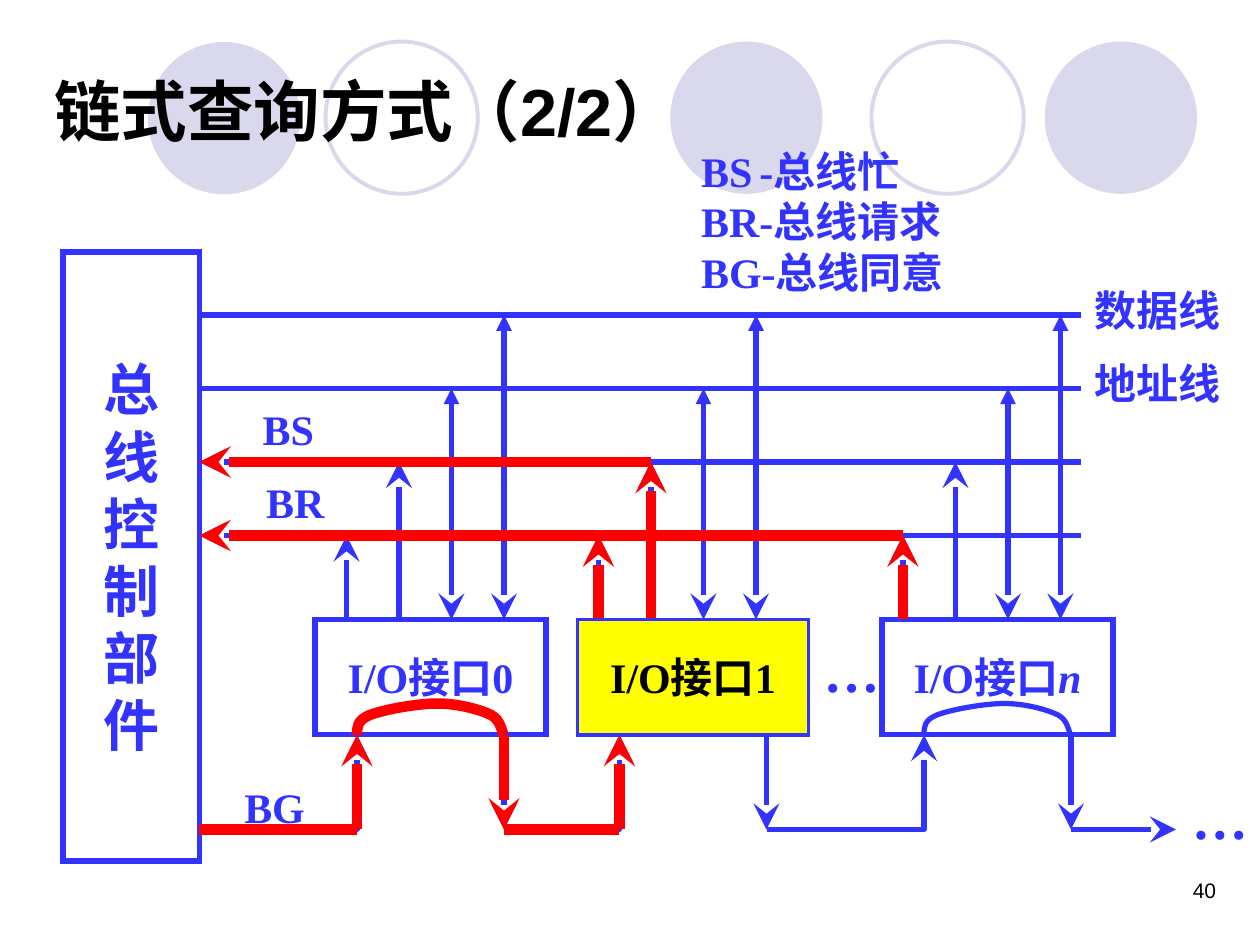
import pptx
import pptx.util
import pptx.dml.color
import pptx.enum.shapes
import pptx.enum.text
import pptx.oxml
from pptx.oxml.ns import qn

Pt = pptx.util.Pt
SHAPE = pptx.enum.shapes.MSO_SHAPE
ALIGN = pptx.enum.text.PP_ALIGN
ANCHOR = pptx.enum.text.MSO_ANCHOR
FIT = pptx.enum.text.MSO_AUTO_SIZE

COLORS = {"blue": "3333FF", "red": "FF0000", "yellow": "FFFF00",
          "black": "000000", "lilac": "D9D8EC"}
SERIF, SANS = "Times New Roman", "Arial"

CIRCLES = [(383, 23.75, True), (597, 23.75, True), (84.5, 24, True),
           (498, 23.75, False), (186, 23.75, False)]
CIRCLE_SIZE = 87

CONTROL = "总线控制部件"
TITLE = "链式查询方式（2/2）"
LEGEND = [[("BS", {}), (" ", {"size": 16}), ("-总线忙", {})],
          [("BR-总线请求", {})],
          [("BG-总线同意", {})]]
LABELS = [
    ("BS", 143, 227, 44, 36, 24), ("BR", 145, 269, 47.5, 36, 24),
    ("BG", 132.5, 443, 49, 36, 24),
    ("数据线", 618.5, 159, 86.5, 36, 24), ("地址线", 618.5, 201, 86.5, 36, 24),
    ("…", 463.5, 360, 46, 46, 32), ("…", 674, 444, 46, 46, 32),
]

BUS_LEFT, BUS_RIGHT = 114, 618
DATA, ADDRESS, BS, BR = [180 + 42 * i for i in range(4)]
BOX_TOP, BOX_W, BOX_H = 354, 132, 66
BOX_BOTTOM, LANE = BOX_TOP + BOX_H, 474
STUB_STEP, ARC_W = 30, 84
INTERFACES = [
    {"box": 180, "stub": 198, "grant": 204, "text": [("I/O接口0", {})]},
    {"box": 330, "stub": 342, "grant": 354, "text": [("I/O接口1", {})]},
    {"box": 504, "stub": 516, "grant": 528,
     "text": [("I/O接口", {}), ("n", {"italic": True})]},
]
ARC = [(0, 0), (0, -4.5), (0, -8.5), (7.5, -11.5), (15.5, -14.5), (34, -18),
       (46, -18), (57.5, -18), (70.5, -14.5), (76.5, -11.5), (82.5, -8.5),
       (82.5, -1.5), (84, 0)]

prs = pptx.Presentation()
prs.slide_width, prs.slide_height = Pt(720), Pt(540)
s = prs.slides.add_slide(prs.slide_layouts[6])


def rgb(name):
    return pptx.dml.color.RGBColor.from_string(COLORS[name])


def element(tag, attributes=""):
    return pptx.oxml.parse_xml(
        f'<a:{tag} xmlns:a="http://schemas.openxmlformats.org/drawingml/2006/main" {attributes}/>')


def style(sp, fill=None, line=None, width=3.0):
    sp.shadow.inherit = False
    if fill:
        sp.fill.solid()
        sp.fill.fore_color.rgb = rgb(fill)
    else:
        sp.fill.background()
    if line:
        sp.line.color.rgb = rgb(line)
        sp.line.width = Pt(width)
    else:
        sp.line.fill.background()


def arrowheads(sp, head, tail, color):
    ln = sp.line._get_or_add_ln()
    for tag, kind in (("headEnd", head), ("tailEnd", tail)):
        if kind:
            size = "lg" if kind == "stealth" and color == "blue" else "med"
            ln.append(element(tag, f'type="{kind}" w="{size}" len="{size}"'))


def write(sp, paragraphs, size=24, color="blue", font=SERIF, bold=True,
          align=ALIGN.LEFT, anchor=ANCHOR.TOP, wrap=False):
    tf = sp.text_frame
    tf.word_wrap = wrap
    tf.vertical_anchor = anchor
    for i, runs in enumerate(paragraphs):
        p = tf.paragraphs[0] if i == 0 else tf.add_paragraph()
        p.alignment = align
        for text, extra in runs:
            r = p.add_run()
            r.text = text
            r.font.name = font
            r.font.size = Pt(extra.get("size", size))
            r.font.bold = bold
            r.font.italic = extra.get("italic")
            r.font.color.rgb = rgb(color)


def label(paragraphs, x, y, w, h, **kw):
    sp = s.shapes.add_textbox(Pt(x), Pt(y), Pt(w), Pt(h))
    write(sp, paragraphs, **kw)
    if not kw.get("wrap"):
        sp.text_frame.auto_size = FIT.SHAPE_TO_FIT_TEXT


def box(x, y, w, h, paragraphs, fill=None, width=3.0, **kw):
    sp = s.shapes.add_shape(SHAPE.RECTANGLE, Pt(x), Pt(y), Pt(w), Pt(h))
    style(sp, fill, "blue", width)
    sp.line._get_or_add_ln().append(element("miter", 'lim="800000"'))
    write(sp, paragraphs, align=ALIGN.CENTER, anchor=ANCHOR.MIDDLE, **kw)


def line(x1, y1, x2, y2, color="blue", width=3, head=None, tail=None):
    sp = s.shapes.add_connector(pptx.enum.shapes.MSO_CONNECTOR.STRAIGHT,
                                Pt(x1), Pt(y1), Pt(x2), Pt(y2))
    sp.line.color.rgb = rgb(color)
    sp.line.width = Pt(width)
    arrowheads(sp, head, tail, color)
    sp._element.spPr.append(element("effectLst"))


def outline(points, color="blue", width=3, tail=None):
    pts = [(Pt(x), Pt(y)) for x, y in points]
    fb = s.shapes.build_freeform(*pts[0])
    fb.add_line_segments(pts[1:], close=False)
    sp = fb.convert_to_shape()
    style(sp, None, color, width)
    arrowheads(sp, None, tail, color)
    return sp


def arc(x, color="blue", width=3):
    sp = outline([(x + dx, BOX_BOTTOM + dy) for dx, dy in ARC], color, width)
    segments = list(sp._element.iter(qn("a:lnTo")))
    for i in range(0, len(segments), 3):
        curve = segments[i].makeelement(qn("a:cubicBezTo"), {})
        segments[i].addprevious(curve)
        for seg in segments[i:i + 3]:
            curve.append(seg[0])
            seg.getparent().remove(seg)


for x, y, filled in CIRCLES:
    sp = s.shapes.add_shape(SHAPE.OVAL, Pt(x), Pt(y), Pt(CIRCLE_SIZE), Pt(CIRCLE_SIZE))
    style(sp, *(("lilac", None) if filled else (None, "lilac", 2.25)))

label([[("40", {})]], 534, 498, 168, 36, size=12, color="black", font=SANS,
      bold=False, align=ALIGN.RIGHT, wrap=True)
box(36, 144, 78, 348, [[(c, {})] for c in CONTROL], size=32)

for y in (DATA, ADDRESS, BS, BR):
    line(BUS_LEFT, y, BUS_RIGHT, y, head="stealth" if y in (BS, BR) else None)

for unit in INTERFACES:
    for i, y in enumerate((BR, BS)):
        x = unit["stub"] + i * STUB_STEP
        line(x, BOX_TOP, x, y, tail="stealth")
    for i, y in enumerate((ADDRESS, DATA), 2):
        x = unit["stub"] + i * STUB_STEP
        line(x, y, x, BOX_TOP, head="triangle", tail="stealth")
    leave = unit["grant"] + ARC_W
    line(leave, BOX_BOTTOM, leave, LANE, tail="stealth")

first, active, last = INTERFACES
for unit in (first, last):
    box(unit["box"], BOX_TOP, BOX_W, BOX_H, [unit["text"]])
    arc(unit["grant"])

starts = [BUS_LEFT] + [unit["grant"] + ARC_W for unit in INTERFACES]
for x, unit in zip(starts, INTERFACES):
    outline([(x, LANE), (unit["grant"], LANE), (unit["grant"], BOX_BOTTOM)], tail="stealth")
line(starts[-1], LANE, 672, LANE, tail="stealth")

for text, x, y, w, h, size in LABELS:
    label([[(text, {})]], x, y, w, h, size=size)
label(LEGEND, 393.5, 79.5, 190, 94, wrap=True)

request = active["stub"] + STUB_STEP
RED_LINES = [
    (request, BS, BUS_LEFT, BS, "stealth"),
    (last["stub"], BR, BUS_LEFT, BR, "stealth"),
    (active["stub"], BOX_TOP, active["stub"], BR, "stealth"),
    (last["stub"], BOX_TOP, last["stub"], BR, "stealth"),
    (first["grant"], LANE, first["grant"], BOX_BOTTOM, "stealth"),
    (BUS_LEFT, LANE, first["grant"], LANE, None),
    (starts[1], BOX_BOTTOM, starts[1], LANE, "stealth"),
    (starts[1], LANE, active["grant"], LANE, None),
    (active["grant"], LANE, active["grant"], BOX_BOTTOM, "stealth"),
    (request, BOX_TOP, request, BS, "stealth"),
]
for x1, y1, x2, y2, tail in RED_LINES:
    line(x1, y1, x2, y2, "red", 6, tail=tail)
arc(first["grant"], "red", 6)

box(active["box"], BOX_TOP, BOX_W, BOX_H, [active["text"]], "yellow", 2, color="black")
label([[(TITLE, {})]], 24, 18, 648, 90, size=38, color="black", font=SANS,
      anchor=ANCHOR.MIDDLE, wrap=True)

prs.save("out.pptx")
